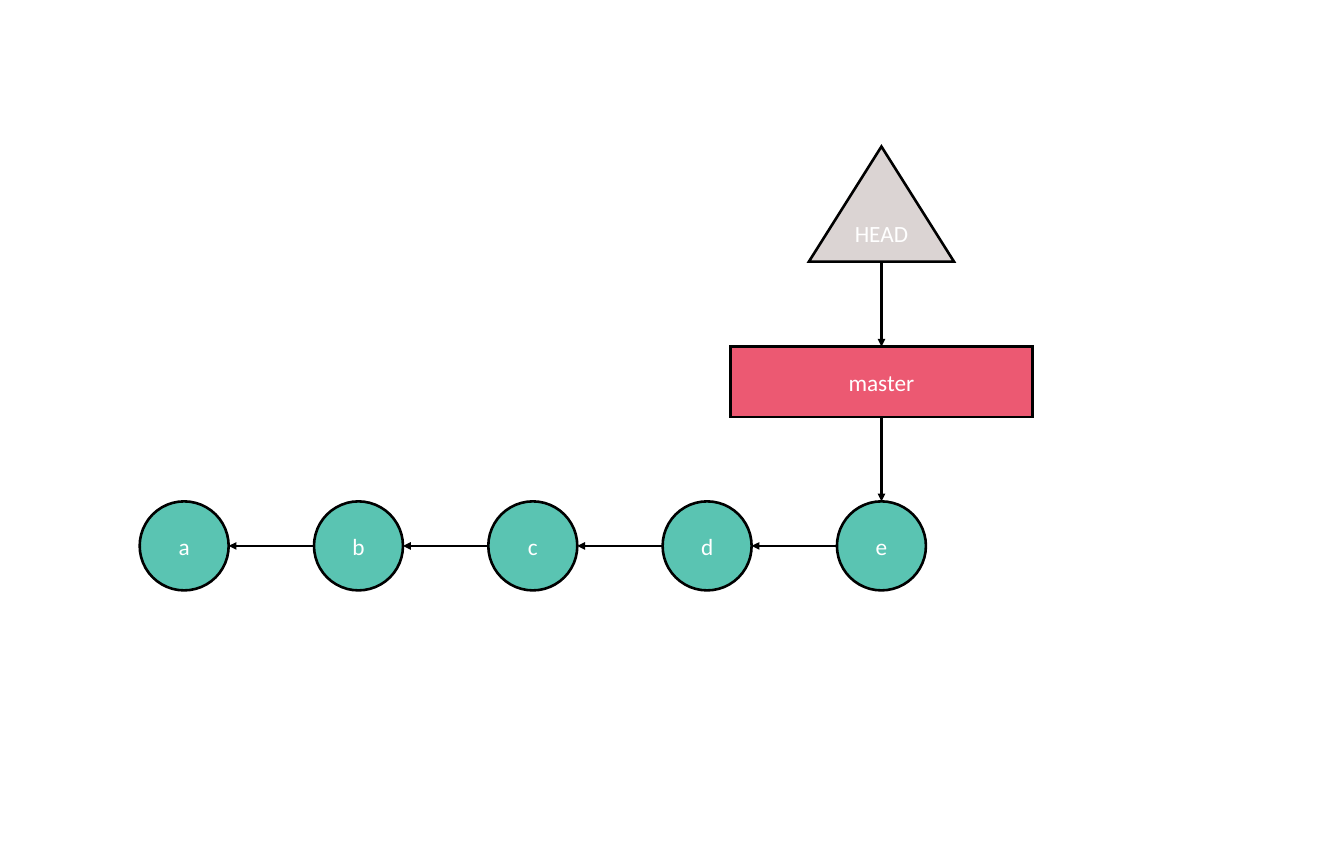
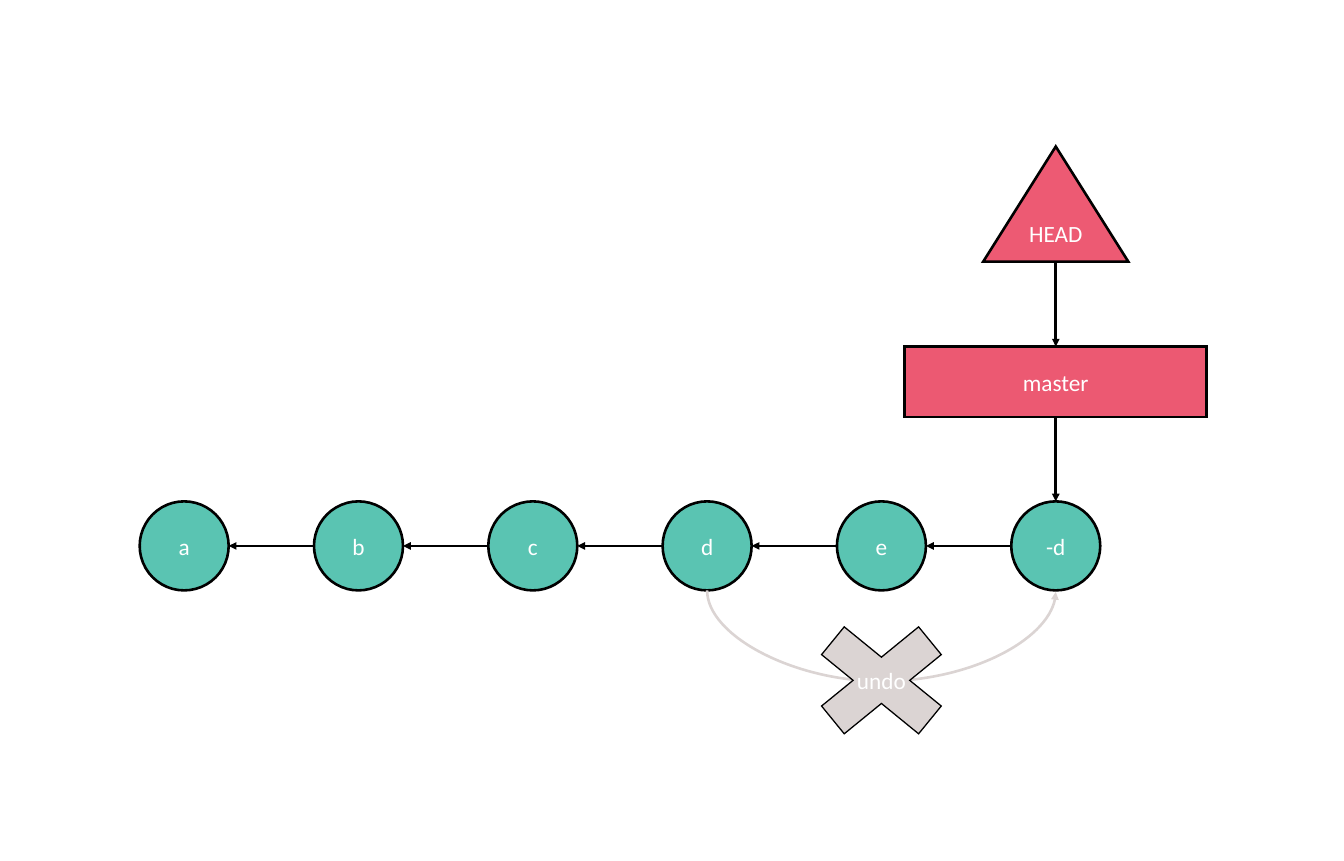
"""Two commit graphs: a branch before and after a commit is undone."""
from lxml.etree import SubElement
from pptx import Presentation
from pptx.dml.color import RGBColor
from pptx.enum.shapes import MSO_CONNECTOR as CONN, MSO_SHAPE as SHAPE
from pptx.enum.text import MSO_ANCHOR as ANCHOR, PP_ALIGN as ALIGN
from pptx.oxml.ns import qn
from pptx.util import Cm, Pt

COLORS = {"commit": "49BEAA", "branch": "EB4763", "head": "ED5A73",
          "muted": "DBD4D3", "line": "000000", "text": "FFFFFF"}
FONT = {"name": "Calibri", "size": Pt(18)}
FRAME = {"word_wrap": False, "vertical_anchor": ANCHOR.MIDDLE}

FIRST_X, PITCH = 5.03, 4.76
COMMIT_Y, COMMIT_SIZE = 14.9, 2.43
RADIUS = COMMIT_SIZE / 2
BRANCH_Y, BRANCH_W, BRANCH_H = 10.42, 8.25, 1.92
HEAD_Y, HEAD_W, HEAD_H = 5.57, 3.96, 3.14
UNDO_Y, UNDO_W, UNDO_H = 18.57, 5.1, 4.16
ARC_RISE, ARC_BEND = 0.04, 62


def rgb(name):
    return RGBColor.from_string(COLORS[name])


def apply(target, values):
    for key, value in values.items():
        setattr(target, key, value)


class Graph:
    """Holds the style and the current slide."""

    def __init__(self):
        self.prs = Presentation()
        apply(self.prs, {"slide_width": Cm(36.7), "slide_height": Cm(23.5)})

    def new_slide(self):
        self.s = self.prs.slides.add_slide(self.prs.slide_layouts[6])

    def node(self, kind, text, x, y, w, h, color, alpha=100, weight=2):
        sp = self.s.shapes.add_shape(
            kind, Cm(x - w / 2), Cm(y - h / 2), Cm(w), Cm(h))
        sp.shadow.inherit = False
        sp.fill.solid()
        sp.fill.fore_color.rgb = rgb(color)
        if alpha < 100:
            clr = sp._element.spPr.find(qn("a:solidFill"))[0]
            SubElement(clr, qn("a:alpha"), val=str(alpha * 1000))
        sp.line.color.rgb = rgb("line")
        sp.line.width = Pt(weight)
        SubElement(sp.line._get_or_add_ln(), qn("a:miter"), lim="800000")
        tf = sp.text_frame
        apply(tf, FRAME)
        p = tf.paragraphs[0]
        p.alignment = ALIGN.CENTER
        r = p.add_run()
        r.text = text
        apply(r.font, FONT)
        r.font.color.rgb = rgb("text")

    def arrow(self, x1, y1, x2, y2, kind=CONN.STRAIGHT, color="line"):
        cn = self.s.shapes.add_connector(kind, Cm(x1), Cm(y1), Cm(x2), Cm(y2))
        cn.line.color.rgb = rgb(color)
        cn.line.width = Pt(2)
        SubElement(cn.line._get_or_add_ln(), qn("a:tailEnd"), type="triangle")
        SubElement(cn._element.spPr, qn("a:effectLst"))
        return cn

    def arc(self, x1, x2, y):
        cx, span = (x1 + x2) / 2, x2 - x1
        left, top = cx - ARC_RISE / 2, y - span / 2
        cn = self.arrow(left, top, left + ARC_RISE, top + span,
                        CONN.CURVE, "muted")
        spPr = cn._element.spPr
        apply_xfrm = spPr.find(qn("a:xfrm")).set
        apply_xfrm("rot", "16200000")
        apply_xfrm("flipH", "1")
        guides = spPr.find(qn("a:prstGeom")).find(qn("a:avLst"))
        SubElement(guides, qn("a:gd"), name="adj1",
                   fmla=f"val {ARC_BEND * 100000}")

    def history(self, commits, head_color):
        xs = {name: FIRST_X + i * PITCH for i, name in enumerate(commits)}
        for name, x in xs.items():
            self.node(SHAPE.OVAL, name, x, COMMIT_Y, COMMIT_SIZE, COMMIT_SIZE,
                      "commit", 90)
        for x in list(xs.values())[1:]:
            self.arrow(x - RADIUS, COMMIT_Y, x - PITCH + RADIUS, COMMIT_Y)
        tip = xs[commits[-1]]
        self.node(SHAPE.RECTANGLE, "master", tip, BRANCH_Y, BRANCH_W, BRANCH_H,
                  "branch", 90)
        self.node(SHAPE.ISOSCELES_TRIANGLE, "HEAD", tip, HEAD_Y, HEAD_W, HEAD_H,
                  head_color)
        self.arrow(tip, HEAD_Y + HEAD_H / 2, tip, BRANCH_Y - BRANCH_H / 2)
        self.arrow(tip, BRANCH_Y + BRANCH_H / 2, tip, COMMIT_Y - RADIUS)
        return xs

    def undo(self, x1, x2):
        self.arc(x1, x2, COMMIT_Y + RADIUS + ARC_RISE / 2)
        self.node(SHAPE.MATH_MULTIPLY, "undo", (x1 + x2) / 2, UNDO_Y,
                  UNDO_W, UNDO_H, "muted", weight=1)


graph = Graph()
graph.new_slide()
graph.history(["a", "b", "c", "d", "e"], "muted")

graph.new_slide()
xs = graph.history(["a", "b", "c", "d", "e", "-d"], "head")
graph.undo(xs["d"], xs["-d"])

graph.prs.save("out.pptx")
